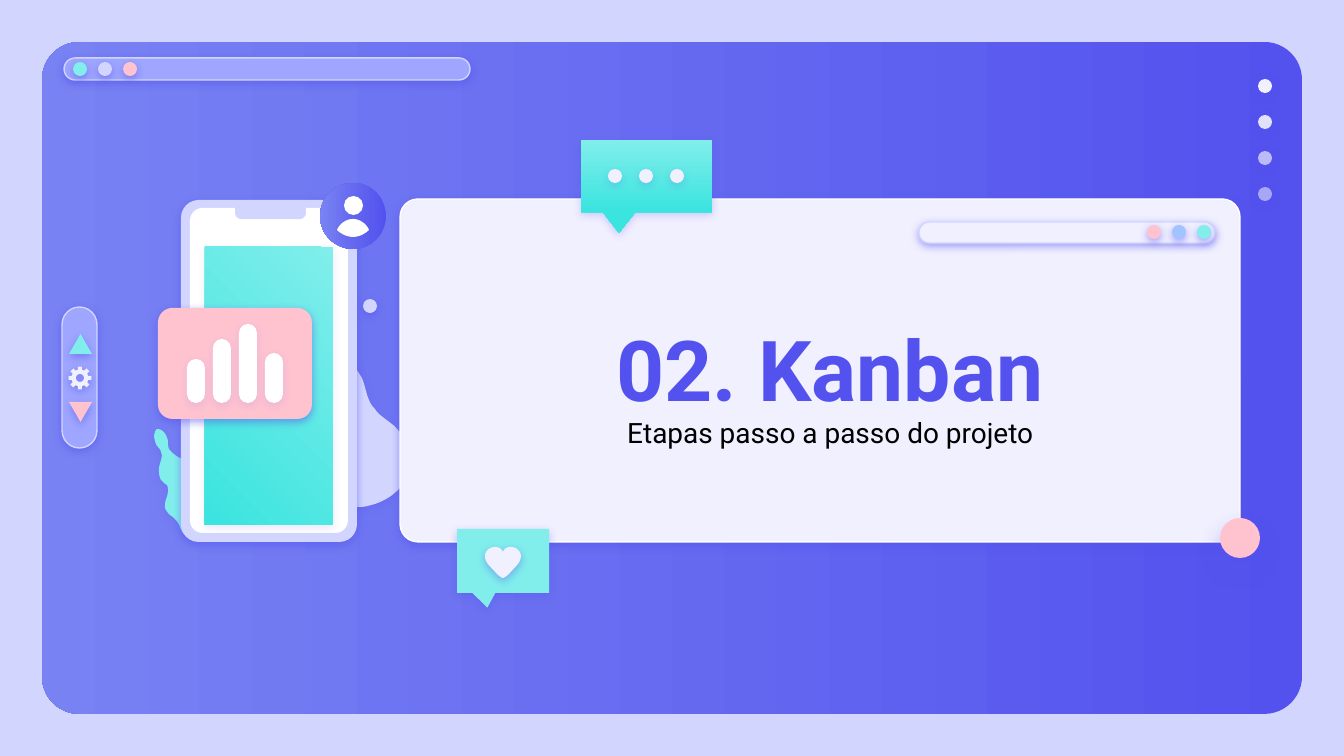
from dataclasses import dataclass
from math import cos, radians, sin

from lxml.etree import SubElement
from pptx import Presentation
from pptx.dml.color import RGBColor
from pptx.enum.shapes import MSO_SHAPE as Shape
from pptx.enum.text import MSO_ANCHOR, PP_ALIGN
from pptx.oxml.ns import qn
from pptx.util import Emu, Pt

EMU_PER_PX = 914400 / 134.4


@dataclass(frozen=True)
class Theme:
    indigo: str = "5352EE"
    periwinkle: str = "7882F3"
    lilac: str = "9EA6FF"
    lavender: str = "D2D6FF"
    mist: str = "F1F0FF"
    white: str = "FFFFFF"
    black: str = "000000"
    aqua: str = "81EEEB"
    teal: str = "3AE4DF"
    pink: str = "FFC3D0"
    sky: str = "A1C3FF"
    font: str = "Roboto"
    title_size: int = 45
    subtitle_size: int = 15


THEME = Theme()
INDIGO_FADE = (THEME.indigo, THEME.periwinkle, 180)

PLANT = [
    (294, 317), (292, 317), (290, 319), (289, 320), (276, 332), (298, 345), (304, 355),
    (306, 363), (304, 375), (301, 383), (301, 392), (304, 402), (312, 407),
    (319, 411), (324, 414), (327, 421), (332, 427), (335, 437), (335, 446),
    (332, 453), (331, 462), (331, 472), (331, 477), (331, 485), (336, 492),
    (341, 499), (349, 503), (355, 505), (356, 507), (358, 507), (360, 507),
    (366, 507), (371, 505), (375, 504), (387, 500), (401, 491), (406, 478),
    (414, 458), (407, 433), (388, 421), (383, 417), (378, 414), (375, 409),
    (367, 402), (366, 387), (362, 378), (349, 351), (325, 363), (316, 347),
    (312, 340), (310, 335), (309, 327), (306, 324), (304, 317), (294, 317),
]
LEAF = [
    (157, 429), (156, 430), (155, 431), (155, 433), (153, 435), (155, 441), (156, 444),
    (157, 447), (161, 449), (161, 452), (163, 456), (161, 460), (160, 464),
    (158, 469), (159, 476), (161, 480), (163, 482), (165, 484), (167, 485),
    (169, 489), (168, 493), (167, 497), (165, 501), (165, 505), (165, 508),
    (167, 512), (169, 515), (173, 517), (176, 520), (179, 523), (180, 527),
    (181, 530), (183, 534), (185, 534), (187, 534), (190, 534), (192, 532),
    (195, 530), (198, 525), (198, 521), (198, 517), (195, 515), (194, 511),
    (192, 508), (191, 505), (190, 503), (188, 497), (190, 492), (191, 485),
    (192, 478), (194, 472), (190, 466), (188, 462), (184, 460), (180, 458),
    (176, 456), (172, 453), (169, 449), (168, 446), (168, 444), (168, 441),
    (167, 435), (163, 429), (157, 429),
]
SHOULDERS = [(353, 219), (347, 219), (340, 223), (337, 230), (341, 234), (347, 237), (353, 237)]
HEART = [
    (503, 552), (502, 549), (499, 547), (495, 547), (490, 547), (485, 551), (485, 556),
    (485, 563), (491, 567), (497, 574), (499, 576), (502, 578), (503, 578),
]


def px(length):
    return Emu(round(length * EMU_PER_PX))


def rgb(color):
    return RGBColor.from_string(color)


def paint(shape, fill, line=None, shadow=50, blur=4.5, drop=1.5, opacity=100):
    if isinstance(fill, tuple):
        start, end, angle = fill
        shape.fill.gradient()
        shape.fill.gradient_angle = angle
        for stop, color in zip(shape.fill.gradient_stops, (start, end)):
            stop.color.rgb = rgb(color)
    else:
        shape.fill.solid()
        shape.fill.fore_color.rgb = rgb(fill)
        if opacity < 100:
            tint = shape._element.spPr.find(qn("a:solidFill"))[0]
            SubElement(tint, qn("a:alpha"), val=str(opacity * 1000))
    if line:
        shape.line.color.rgb = rgb(line)
        shape.line.width = Pt(0.75)
    else:
        shape.line.fill.background()
    shape.shadow.inherit = False
    if shadow:
        effects = shape._element.spPr.find(qn("a:effectLst"))
        outer = SubElement(effects, qn("a:outerShdw"), blurRad=str(Pt(blur)), dist=str(Pt(drop)),
                           dir="5400000", algn="bl", rotWithShape="0")
        tint = SubElement(outer, qn("a:srgbClr"), val=THEME.indigo)
        SubElement(tint, qn("a:alpha"), val=str(shadow * 1000))


def add_preset(slide, kind, box, fill, adjust=(), rotation=0, **style):
    shape = slide.shapes.add_shape(kind, *map(px, box))
    for index, value in enumerate(adjust):
        shape.adjustments[index] = value
    shape.rotation = rotation
    paint(shape, fill, **style)


def add_rounded(slide, box, fill, radius=0.5, **style):
    add_preset(slide, Shape.ROUNDED_RECTANGLE, box, fill, (radius,), **style)


def add_dots(slide, left, top, colors, step=25, size=14, **style):
    for index, color in enumerate(colors):
        add_preset(slide, Shape.OVAL, (left + index * step, top, size, size), color, **style)


def add_outline(slide, contours, fill, **style):
    scaled = [[(px(x), px(y)) for x, y in contour] for contour in contours]
    builder = slide.shapes.build_freeform(*scaled[0][0], scale=1.0)
    for index, contour in enumerate(scaled):
        if index:
            builder.move_to(*contour[0])
        builder.add_line_segments(contour[1:], close=True)
    paint(builder.convert_to_shape(), fill, **style)


def curve(points, steps=8):
    traced = [points[0]]
    for first in range(0, len(points) - 1, 3):
        segment = points[first:first + 4]
        for step in range(1, steps + 1):
            t = step / steps
            weights = ((1 - t) ** 3, 3 * t * (1 - t) ** 2, 3 * t * t * (1 - t), t ** 3)
            traced.append(tuple(sum(w * p[axis] for w, p in zip(weights, segment)) for axis in (0, 1)))
    return traced


def mirrored(half):
    axis = half[0][0]
    return half + [(2 * axis - x, y) for x, y in half[-2::-1]]


def around(center, radius, degrees):
    angle = radians(degrees)
    return center[0] + radius * cos(angle), center[1] + radius * sin(angle)


def add_gear(slide, center):
    tooth = ((8.5, -14), (11.5, -10), (11.5, 10), (8.5, 14))
    rim = [around(center, radius, turn + offset) for turn in range(0, 360, 45) for radius, offset in tooth]
    hole = [around(center, 4, turn) for turn in range(360, 0, -15)]
    add_outline(slide, [rim, hole], THEME.mist, shadow=52)


def add_text(slide, box, text, size, color, bold=False, fill=None):
    label = slide.shapes.add_textbox(*map(px, box))
    if fill:
        paint(label, fill, shadow=0)
    frame = label.text_frame
    frame.word_wrap = True
    frame.vertical_anchor = MSO_ANCHOR.MIDDLE
    frame.margin_left = frame.margin_right = frame.margin_top = frame.margin_bottom = px(13)
    paragraph = frame.paragraphs[0]
    paragraph.text = text
    paragraph.alignment = PP_ALIGN.CENTER
    paragraph.font.name = THEME.font
    paragraph.font.size = Pt(size)
    paragraph.font.bold = bold
    paragraph.font.color.rgb = rgb(color)


def add_backdrop(slide):
    slide.background.fill.solid()
    slide.background.fill.fore_color.rgb = rgb(THEME.lavender)
    add_rounded(slide, (42, 42, 1260, 672), INDIGO_FADE, 0.056, shadow=0)
    for index, opacity in enumerate((100, 90, 67, 54)):
        add_dots(slide, 1258, 79 + index * 36, [THEME.mist], opacity=opacity)
    add_rounded(slide, (64, 58, 406, 22), THEME.lilac, line=THEME.lavender)
    add_dots(slide, 73, 62, (THEME.aqua, THEME.lavender, THEME.pink))


def add_phone(slide):
    add_outline(slide, [curve(PLANT)], THEME.lavender, shadow=22)
    add_dots(slide, 363, 299, [THEME.lavender])
    add_outline(slide, [curve(LEAF)], THEME.aqua, shadow=18)
    add_rounded(slide, (181, 200, 176, 342), THEME.lavender, 0.1)
    add_rounded(slide, (190, 208, 158, 325), THEME.white, 0.08, shadow=0)
    add_preset(slide, Shape.RECTANGLE, (205, 247, 128, 278), (THEME.aqua, THEME.teal, 225), shadow=11)
    add_preset(slide, Shape.ROUND_2_SAME_RECTANGLE, (235, 207, 71, 12), THEME.lavender,
               (0.5, 0), rotation=180, shadow=0)
    add_rounded(slide, (158, 308, 154, 111), THEME.pink, 0.13)
    for index, top in enumerate((359, 339, 324, 353)):
        add_rounded(slide, (187 + index * 26, top, 18, 403 - top), THEME.white, shadow=11)
    add_dots(slide, 320, 183, [INDIGO_FADE], size=66, shadow=0)
    add_dots(slide, 344, 196, [THEME.white], size=19, shadow=11)
    add_outline(slide, [curve(mirrored(SHOULDERS))], THEME.white, shadow=11)


def add_card(slide):
    add_rounded(slide, (400, 199, 840, 343), THEME.mist, 0.052, line=THEME.white)
    add_text(slide, (415, 259, 809, 218), " 02. Kanban", THEME.title_size, THEME.indigo, True, THEME.mist)
    add_dots(slide, 1220, 518, [THEME.pink], size=40, shadow=38, blur=12.4, drop=6.8)
    add_rounded(slide, (919, 222, 296, 21), THEME.mist, line=THEME.lavender)
    add_dots(slide, 1147, 225, (THEME.pink, THEME.sky, THEME.aqua))


def add_side_control(slide):
    add_rounded(slide, (62, 307, 35, 141), THEME.lilac, line=THEME.lavender)
    for top, color, rotation in ((334, THEME.aqua, 0), (402, THEME.pink, 180)):
        add_preset(slide, Shape.ISOSCELES_TRIANGLE, (69, top, 23, 20), color, rotation=rotation)
    add_gear(slide, (80, 378))


def add_callouts(slide):
    bubble = Shape.ROUNDED_RECTANGULAR_CALLOUT
    add_preset(slide, bubble, (581, 140, 131, 72), (THEME.aqua, THEME.teal, 270), (-0.21, 0.79, 0), shadow=24)
    add_dots(slide, 608, 169, [THEME.mist] * 3, step=31, shadow=18)
    add_preset(slide, bubble, (457, 529, 92, 64), THEME.aqua, (-0.17, 0.73, 0), shadow=31)
    add_outline(slide, [curve(mirrored(HEART))], THEME.mist, shadow=38)


def main():
    presentation = Presentation()
    presentation.slide_width, presentation.slide_height = px(1344), px(756)
    slide = presentation.slides.add_slide(presentation.slide_layouts[6])
    add_backdrop(slide)
    add_phone(slide)
    add_card(slide)
    add_side_control(slide)
    add_callouts(slide)
    add_text(slide, (501, 402, 659, 60), "Etapas passo a passo do projeto", THEME.subtitle_size, THEME.black)
    presentation.save("out.pptx")


if __name__ == "__main__":
    main()
